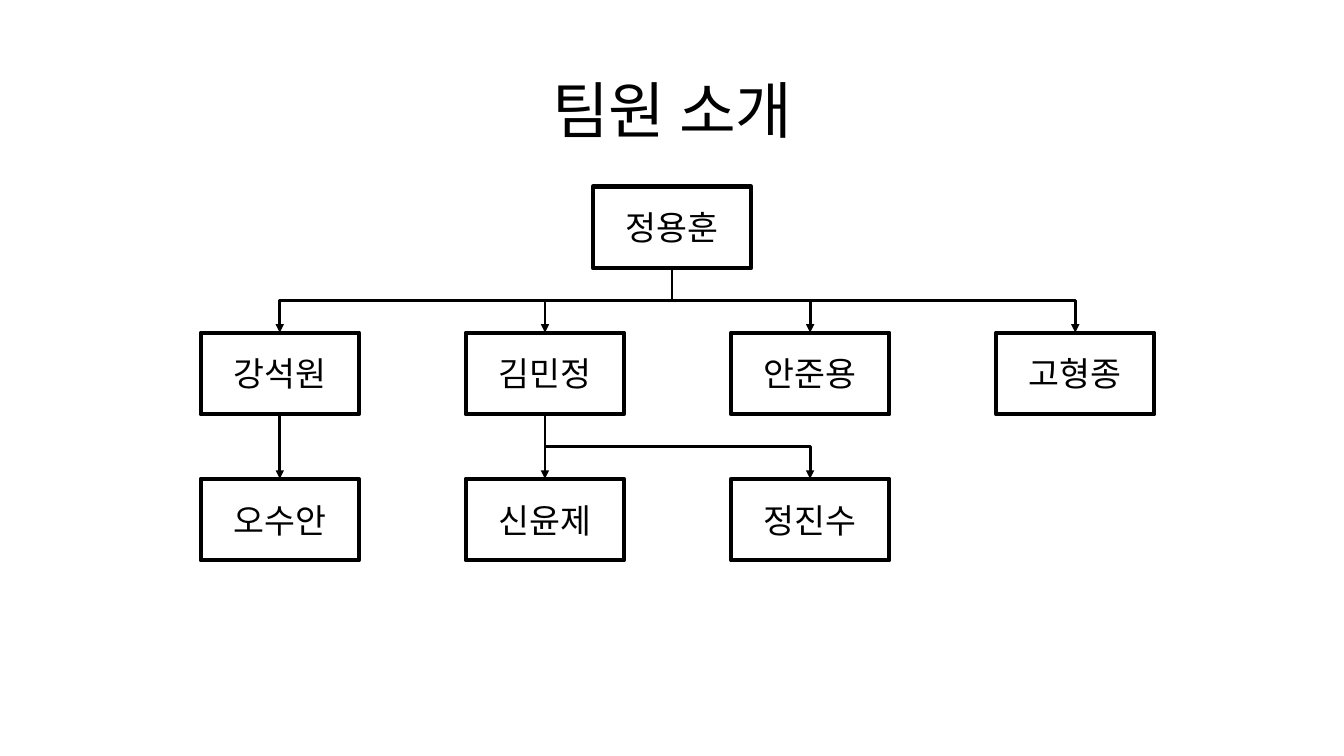
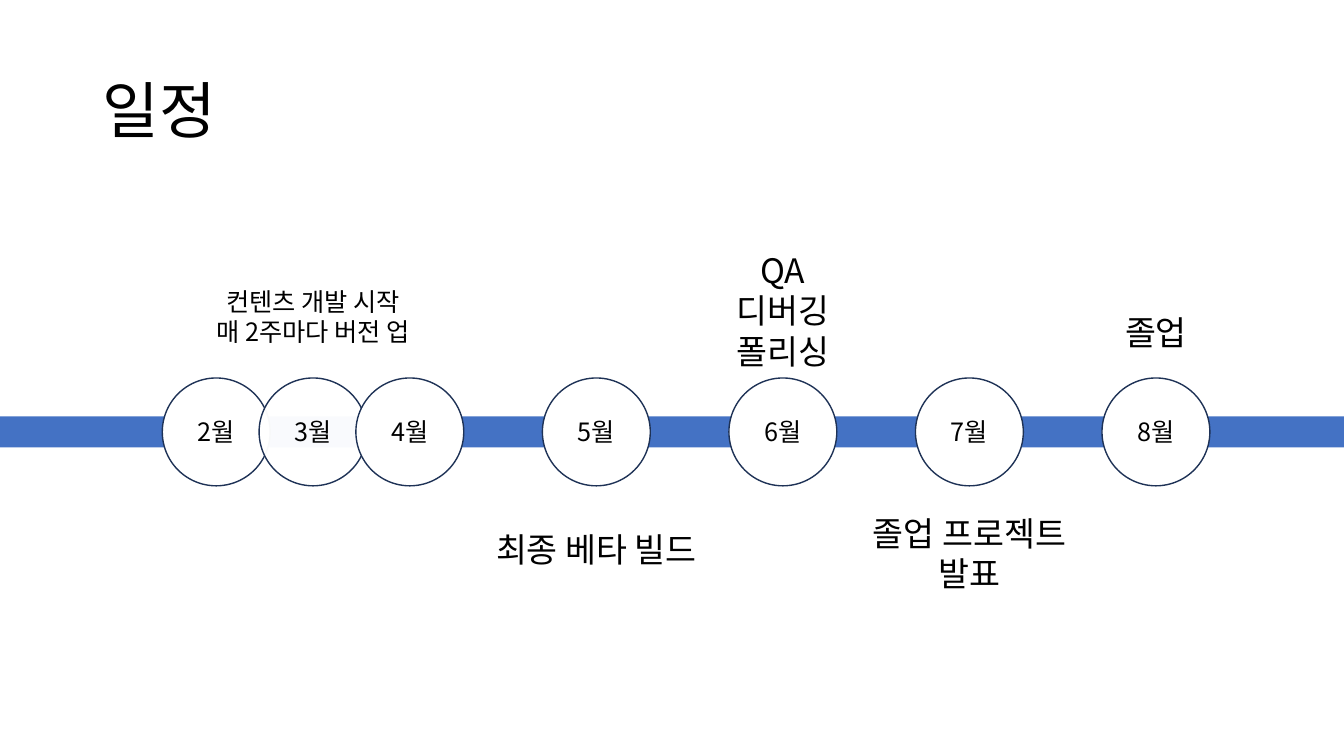
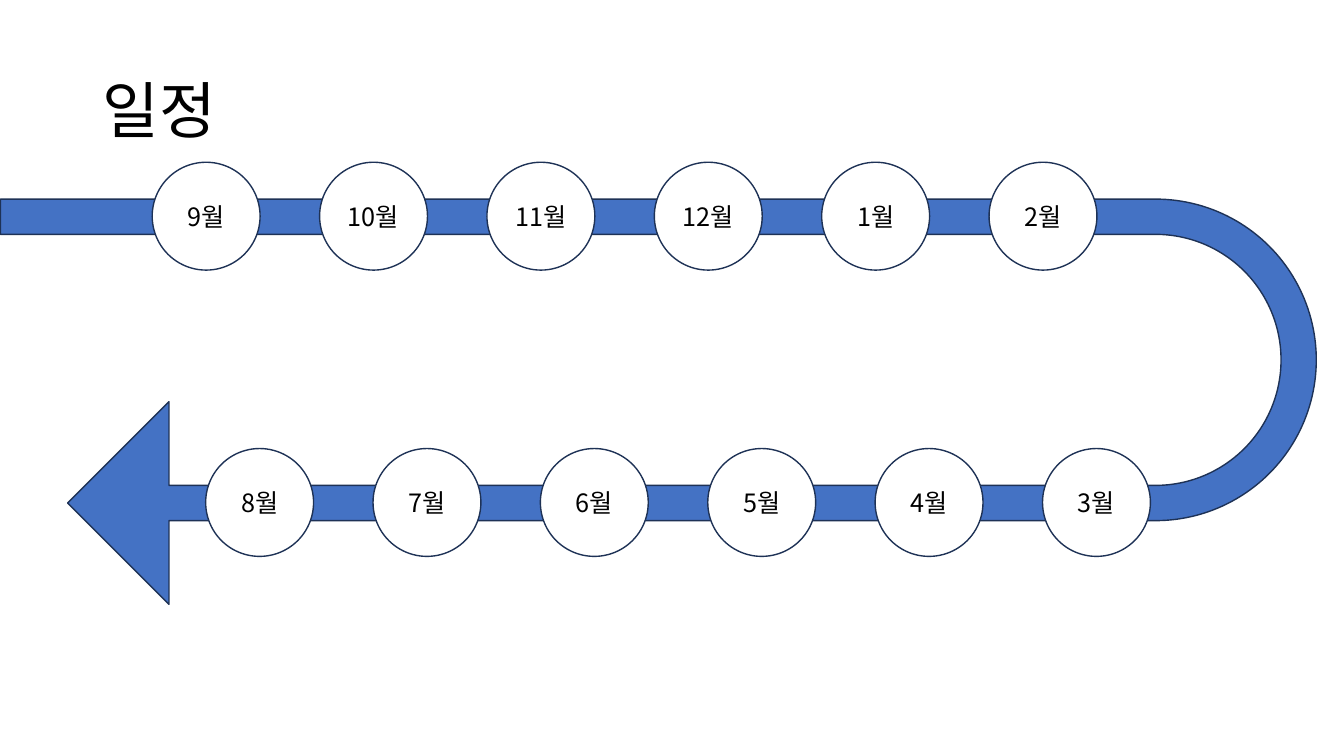
from lxml.etree import SubElement
from pptx import Presentation
from pptx.dml.color import RGBColor
from pptx.enum.shapes import MSO_CONNECTOR, MSO_SHAPE
from pptx.enum.text import MSO_ANCHOR, MSO_AUTO_SIZE, PP_ALIGN
from pptx.oxml.ns import qn
from pptx.util import Inches, Pt

COLORS = {"ink": "000000", "paper": "FFFFFF", "blue": "4472C4", "outline": "1E3256"}
FONT = "Noto Sans CJK KR"
BOX_WIDTH, BOX_HEIGHT = 1.57, 0.81
CIRCLE = 1.07


def color(name):
    return RGBColor.from_string(COLORS[name])


class Deck:
    def __init__(self):
        self.file = Presentation()
        self.file.slide_width = Inches(13.33)
        self.file.slide_height = Inches(7.5)
        self.page = None

    def add_page(self):
        self.page = self.file.slides.add_slide(self.file.slide_layouts[6])

    def add_text(self, frame, paragraphs, size, align=PP_ALIGN.CENTER, spacing=None):
        """Fill a text frame; a newline inside a paragraph is a line break."""
        for index, text in enumerate(paragraphs):
            para = frame.add_paragraph() if index else frame.paragraphs[0]
            para.alignment = align
            para.line_spacing = spacing
            for number, line in enumerate(text.split("\n")):
                if number:
                    para.add_line_break()
                span = para.add_run()
                span.text = line
                span.font.size = Pt(size)
                span.font.name = FONT
                span.font.color.rgb = color("ink")
                SubElement(span.font._element, qn("a:ea"), typeface=FONT)

    def title(self, text, align=PP_ALIGN.LEFT):
        box = self.page.shapes.add_textbox(Inches(0.92), Inches(0.4), Inches(11.5), Inches(1.45))
        box.text_frame.word_wrap = True
        box.text_frame.vertical_anchor = MSO_ANCHOR.MIDDLE
        self.add_text(box.text_frame, [text], 44, align, 0.9)

    def label(self, center, top, width, height, paragraphs, size=24):
        box = self.page.shapes.add_textbox(
            Inches(center - width / 2), Inches(top), Inches(width), Inches(height))
        box.text_frame.word_wrap = False
        box.text_frame.auto_size = MSO_AUTO_SIZE.SHAPE_TO_FIT_TEXT
        self.add_text(box.text_frame, paragraphs, size)

    def shape(self, kind, left, top, width, height, fill=None, line=None, weight=1):
        shape = self.page.shapes.add_shape(
            kind, Inches(left), Inches(top), Inches(width), Inches(height))
        shape.shadow.inherit = False
        if fill:
            shape.fill.solid()
            shape.fill.fore_color.rgb = color(fill)
        else:
            shape.fill.background()
        if line:
            shape.line.color.rgb = color(line)
            shape.line.width = Pt(weight)
        else:
            shape.line.fill.background()
        return shape

    def member(self, name, left, top):
        box = self.shape(MSO_SHAPE.RECTANGLE, left, top, BOX_WIDTH, BOX_HEIGHT,
                         line="ink", weight=3)
        self.add_text(box.text_frame, [name], 24)
        return box

    def month(self, number, left, top, opacity=None):
        circle = self.shape(MSO_SHAPE.OVAL, left, top, CIRCLE, CIRCLE, "paper", "outline")
        self.add_text(circle.text_frame, [f"{number}월"], 18)
        if opacity:
            tint = circle.element.spPr.find(qn("a:solidFill"))[0]
            SubElement(tint, qn("a:alpha"), val=str(opacity * 1000))

    def arrow(self, kind, *ends):
        connector = self.page.shapes.add_connector(kind, *ends)
        connector.line.color.rgb = color("ink")
        connector.line.width = Pt(2)
        properties = connector.element.spPr
        SubElement(properties.find(qn("a:ln")), qn("a:tailEnd"), type="triangle")
        SubElement(properties, qn("a:effectLst"))
        return connector

    def report_line(self, boss, member):
        """Arrow from the bottom of one box to the top of another."""
        start_x, start_y = boss.left + boss.width // 2, boss.top + boss.height
        end_x, end_y = member.left + member.width // 2, member.top
        if start_x == end_x:
            line = self.arrow(MSO_CONNECTOR.STRAIGHT, start_x, start_y, end_x, end_y)
            line.begin_connect(boss, 2)
            line.end_connect(member, 0)
            return
        # A quarter turn makes the elbow leave and arrive vertically.
        middle_x, middle_y = (start_x + end_x) // 2, (start_y + end_y) // 2
        half_run = abs(end_x - start_x) // 2
        half_drop = (end_y - start_y) // 2
        side = 1 if end_x > start_x else -1
        line = self.arrow(MSO_CONNECTOR.ELBOW,
                          middle_x + side * half_drop, middle_y - half_run,
                          middle_x - side * half_drop, middle_y + half_run)
        line.rotation = 270 if side > 0 else 90


def team_page(deck):
    deck.add_page()
    deck.title("팀원 소개", PP_ALIGN.CENTER)
    columns = [1.99 + 2.63 * index for index in range(4)]
    rows = [1.85 + 1.45 * index for index in range(3)]
    leader = deck.member("정용훈", 5.88, rows[0])
    managers = [deck.member(name, left, rows[1])
                for name, left in zip(["강석원", "김민정", "안준용", "고형종"], columns)]
    staff = [deck.member(name, left, rows[2])
             for name, left in zip(["오수안", "신윤제", "정진수"], columns)]
    for manager in managers:
        deck.report_line(leader, manager)
    for boss, member in zip([managers[0], managers[1], managers[1]], staff):
        deck.report_line(boss, member)


def milestone_page(deck):
    deck.add_page()
    deck.shape(MSO_SHAPE.RECTANGLE, 0, 4.13, 13.33, 0.31, "blue")
    deck.title("일정")
    lefts = [1.61 + 0.96 * index for index in range(3)]
    lefts += [lefts[-1] + 1.85 * step for step in range(1, 5)]
    months = dict(enumerate(lefts, 2))
    for number, left in months.items():
        deck.month(number, left, 3.75, 97 if number == 3 else None)
    for number, *label in [
        (3, 2.79, 2.38, 0.71, ["컨텐츠 개발 시작", "매 2주마다 버전 업"], 18),
        (5, 5.2, 2.46, 0.5, ["최종 베타 빌드"]),
        (6, 2.43, 1.21, 1.31, ["QA", "디버깅\n폴리싱"]),
        (7, 5.04, 2.34, 0.91, ["졸업 프로젝트\n발표"]),
        (8, 3.05, 0.88, 0.5, ["졸업"]),
    ]:
        deck.label(months[number] + CIRCLE / 2, *label)


def year_page(deck):
    deck.add_page()
    road = deck.shape(MSO_SHAPE.U_TURN_ARROW, 4.52, -2.54, 4.02, 13.05, "blue", "outline")
    road.rotation = 90
    for index, value in enumerate([0.087, 0.25, 0.25, 0.438, 0.949]):
        road.adjustments[index] = value
    deck.title("일정")
    for left, top, numbers in [(1.51, 1.61, [9, 10, 11, 12, 1, 2]),
                               (2.04, 4.45, [8, 7, 6, 5, 4, 3])]:
        for index, number in enumerate(numbers):
            deck.month(number, left + 1.66 * index, top)


def main():
    deck = Deck()
    team_page(deck)
    milestone_page(deck)
    year_page(deck)
    deck.file.save("out.pptx")


if __name__ == "__main__":
    main()
